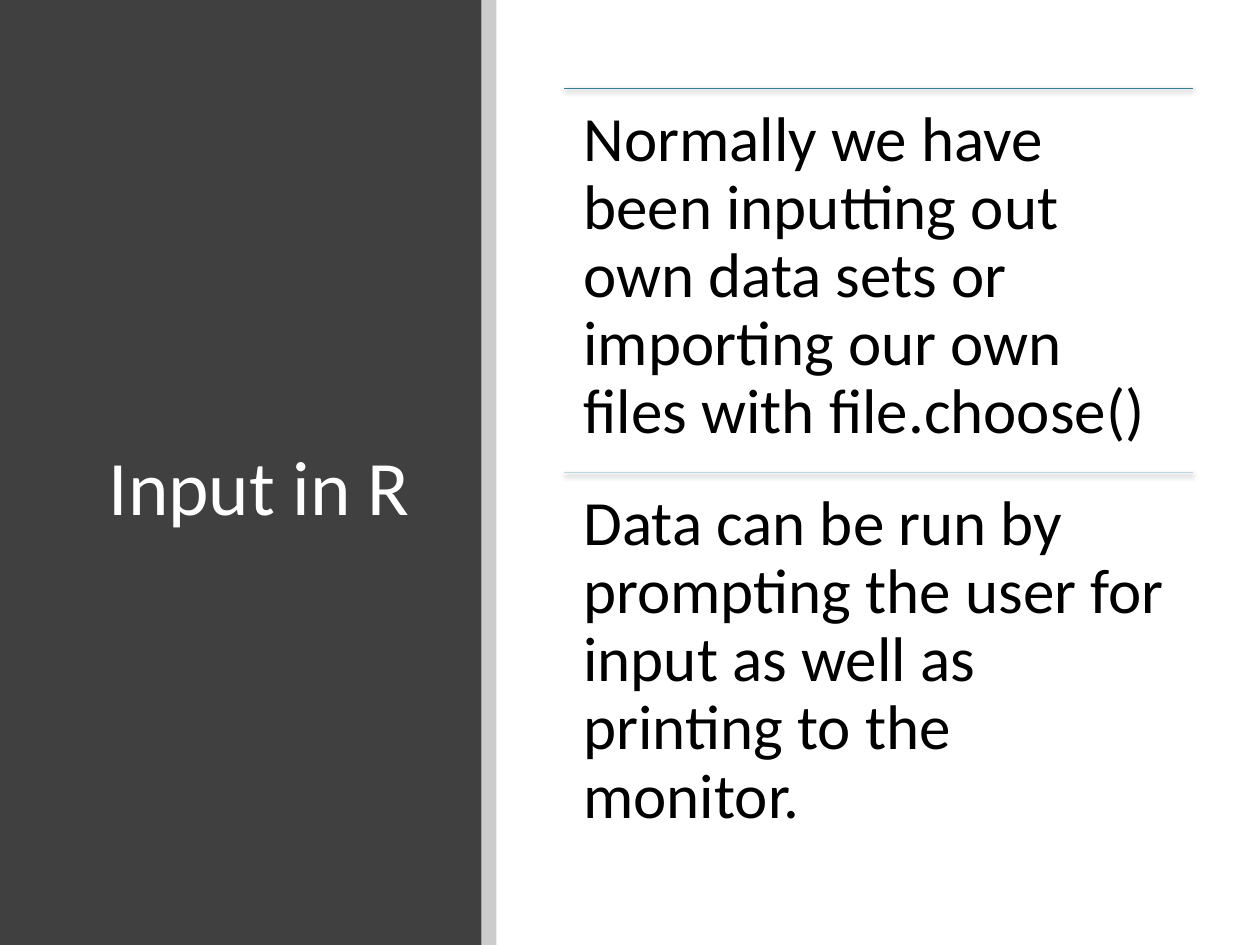
from dataclasses import dataclass

from lxml.etree import SubElement
from pptx import Presentation
from pptx.dml.color import RGBColor
from pptx.enum.shapes import MSO_CONNECTOR, MSO_SHAPE
from pptx.enum.text import MSO_ANCHOR, MSO_AUTO_SIZE, PP_ALIGN
from pptx.oxml.ns import qn
from pptx.util import Inches, Pt

WIDTH, HEIGHT = 10, 7.5
FONT = "Calibri"
LIST_LEFT, LIST_TOP = 4.48, 0.7
ROW_WIDTH, ROW_HEIGHT = 4.99, 3.05


@dataclass(frozen=True)
class Band:
    left: float
    width: float
    color: str
    opacity: int = 100


@dataclass(frozen=True)
class Point:
    text: str
    rule_color: str


BANDS = [
    Band(0, 3.82, "404040"),
    Band(3.82, 0.12, "000000", 20),
]
POINTS = [
    Point("Normally we have been inputting out own data sets or importing "
          "our own files with file.choose()", "377F92"),
    Point("Data can be run by prompting the user for input as well as "
          "printing to the monitor.", "BED8E3"),
]


def rgb(color: str) -> RGBColor:
    return RGBColor.from_string(color)


def add_alpha(color_element, opacity: int) -> None:
    SubElement(color_element, qn("a:alpha"), val=str(opacity * 1000))


def draw_band(page, band: Band) -> None:
    shape = page.shapes.add_shape(
        MSO_SHAPE.RECTANGLE, Inches(band.left), 0, Inches(band.width), Inches(HEIGHT))
    shape.shadow.inherit = False
    shape.fill.solid()
    shape.fill.fore_color.rgb = rgb(band.color)
    shape.line.fill.background()
    if band.opacity < 100:
        add_alpha(shape._element.spPr.find(f".//{qn('a:srgbClr')}"), band.opacity)


def draw_rule(page, top: float, color: str) -> None:
    rule = page.shapes.add_connector(
        MSO_CONNECTOR.STRAIGHT, Inches(LIST_LEFT), Inches(top),
        Inches(LIST_LEFT + ROW_WIDTH), Inches(top))
    rule.line.color.rgb = rgb(color)
    rule.line.width = Pt(0.75)
    effects = SubElement(rule._element.spPr, qn("a:effectLst"))
    shadow = SubElement(
        effects, qn("a:outerShdw"), blurRad=str(Pt(3.1)), dist=str(Pt(1.6)),
        dir=str(90 * 60000), rotWithShape="0")
    add_alpha(SubElement(shadow, qn("a:srgbClr"), val="000000"), 38)


def write_text(frame, text: str, *, size: float, color: str,
               align=PP_ALIGN.LEFT, anchor=MSO_ANCHOR.TOP,
               line_spacing: float = 1.0, inset: float | None = None) -> None:
    frame.word_wrap = True
    frame.auto_size = MSO_AUTO_SIZE.NONE
    frame.vertical_anchor = anchor
    if inset is not None:
        frame.margin_left = frame.margin_right = Inches(inset)
        frame.margin_top = frame.margin_bottom = Inches(inset)
    para = frame.paragraphs[0]
    para.alignment = align
    para.line_spacing = line_spacing
    span = para.add_run()
    span.text = text
    span.font.name = FONT
    span.font.size = Pt(size)
    span.font.color.rgb = rgb(color)


def place_title(page, text: str) -> None:
    title = page.shapes.title
    title.left, title.top = Inches(0.69), Inches(0.89)
    title.width, title.height = Inches(2.74), Inches(5.91)
    page.shapes._spTree.append(title._element)
    write_text(title.text_frame, text, size=44, color="FFFFFF",
               align=PP_ALIGN.CENTER, anchor=MSO_ANCHOR.MIDDLE)


def draw_point(page, row: int, point: Point) -> None:
    top = LIST_TOP + row * ROW_HEIGHT
    draw_rule(page, top, point.rule_color)
    box = page.shapes.add_textbox(
        Inches(LIST_LEFT), Inches(top), Inches(ROW_WIDTH), Inches(ROW_HEIGHT))
    write_text(box.text_frame, point.text, size=36, color="000000",
               line_spacing=0.9, inset=0.15)


def main() -> None:
    deck = Presentation()
    deck.slide_width, deck.slide_height = Inches(WIDTH), Inches(HEIGHT)
    page = deck.slides.add_slide(deck.slide_layouts[5])
    for band in BANDS:
        draw_band(page, band)
    place_title(page, "Input in R")
    for row, point in enumerate(POINTS):
        draw_point(page, row, point)
    deck.save("out.pptx")


if __name__ == "__main__":
    main()
